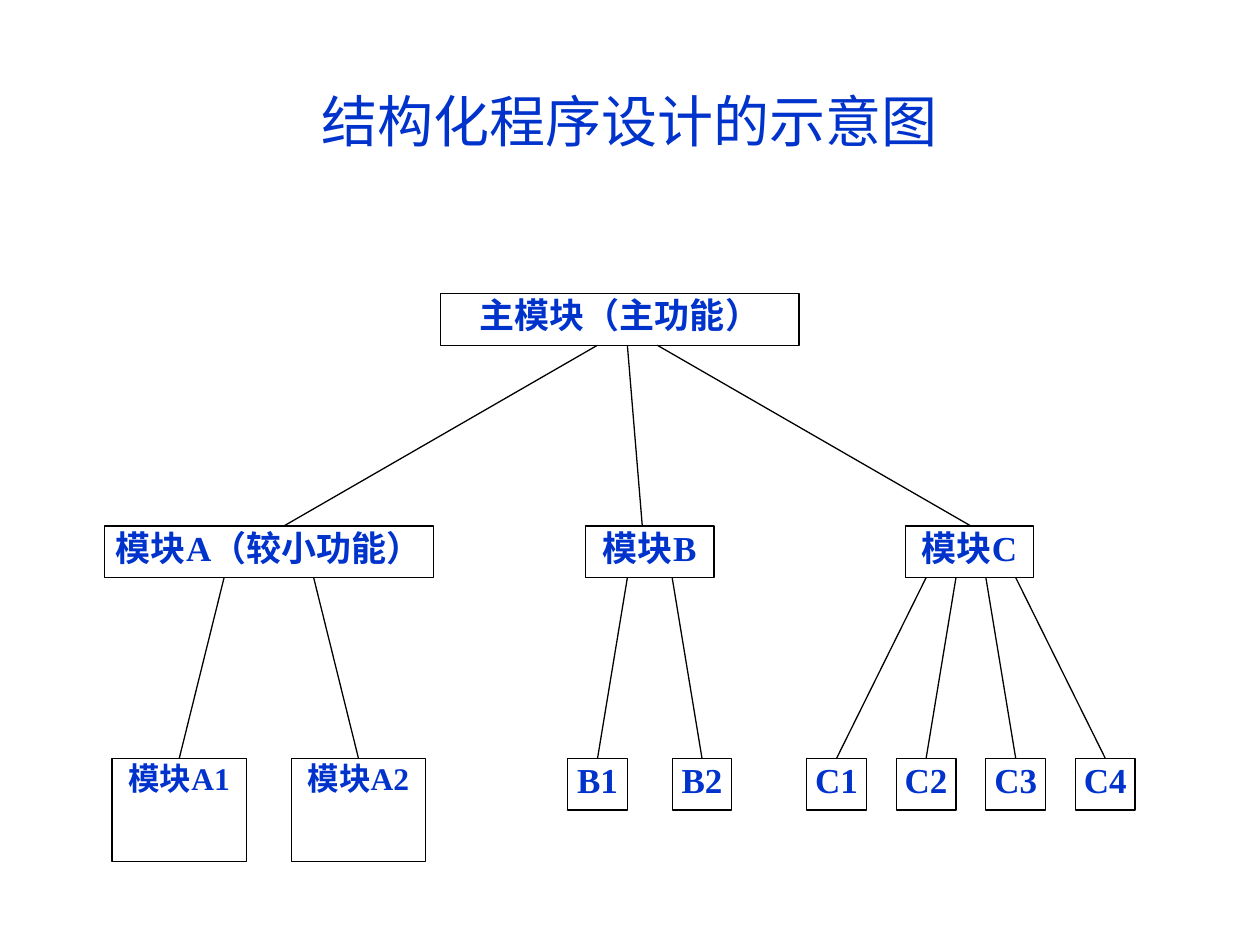
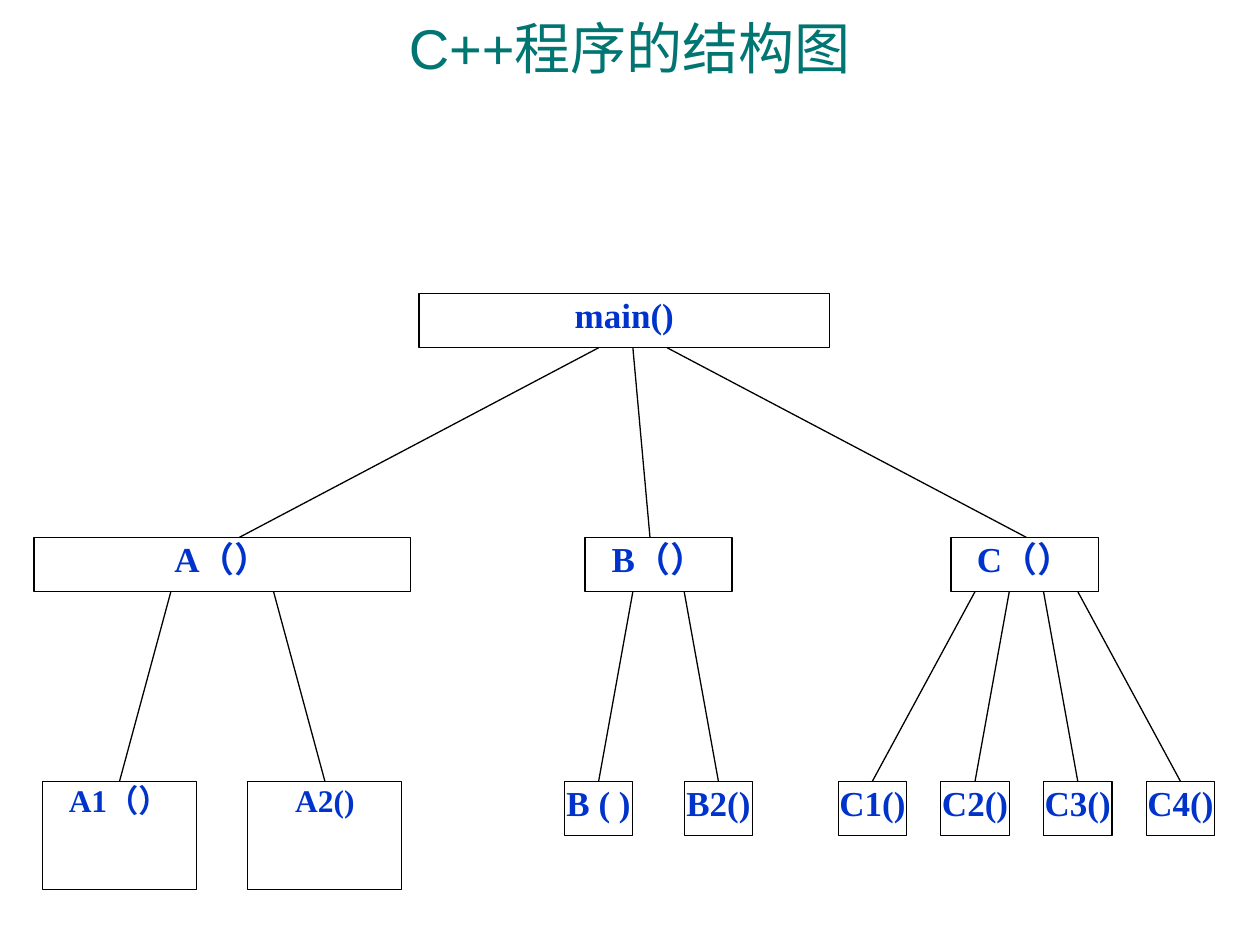
from pptx import Presentation
from pptx.dml.color import RGBColor
from pptx.enum import shapes, text
from pptx.oxml.ns import qn
from pptx.util import Inches, Pt
from lxml import etree

COLORS = {"blue": "0033CC", "teal": "007572", "paper": "FFFFFF", "ink": "000000"}
TITLE_FONT, MODULE_FONT = "Arial", "Times New Roman"
LINE_WIDTH = Pt(0.74)
COLUMNS, ROWS = 69, 11
ROOT_TOP, MIDDLE_TOP, LEAF_TOP = 0, 4.5, 9
ROOT = (22.5, 24)
MODULES = {"A": (0, 22), "B": (32.2, 8.6), "C": (53.6, 8.6)}
LEAVES = {"A": (0.5, 12.5), "B": (31, 38), "C": (47, 53, 59, 65)}
LEAF_SIZES = {"A": (9, 2, 18), "B": (4, 1, 20), "C": (4, 1, 20)}
ROOT_LINKS = ((33, 12), (35, 36), (37, 58))
LEAF_LINKS = {
    "A": ((8, 5), (14, 17)),
    "B": ((35, 33), (38, 40)),
    "C": ((55, 49), (57, 55), (59, 61), (61, 67)),
}


def color(name):
    return RGBColor.from_string(COLORS[name])


def write(frame, words, size, font, color_name, bold=False):
    frame.text = words
    paragraph = frame.paragraphs[0]
    paragraph.alignment = text.PP_ALIGN.CENTER
    for run in paragraph.runs:
        run.font.size, run.font.name, run.font.bold = Pt(size), font, bold
        run.font.color.rgb = color(color_name)


def add_title(slide, words, top, height, color_name):
    shape = slide.shapes.add_textbox(Inches(0.33), Inches(top), Inches(9.34), Inches(height))
    frame = shape.text_frame
    frame.word_wrap = True
    frame.vertical_anchor = text.MSO_ANCHOR.MIDDLE
    write(frame, words, 32, TITLE_FONT, color_name)


def add_module_tree(slide, box, root, modules, leaves):
    left, top, width, height = box
    group = slide.shapes.add_group_shape()

    def across(column):
        return Inches(left + column * width / COLUMNS)

    def down(row):
        return Inches(top + row * height / ROWS)

    def add_module(words, column, row, columns, rows=1, size=20):
        x, y = across(column), down(row)
        shape = group.shapes.add_shape(
            shapes.MSO_SHAPE.RECTANGLE, x, y, across(column + columns) - x, down(row + rows) - y)
        shape.shadow.inherit = False
        shape.fill.solid()
        shape.fill.fore_color.rgb = color("paper")
        shape.line.color.rgb = color("ink")
        shape.line.width = LINE_WIDTH
        frame = shape.text_frame
        frame.margin_left = frame.margin_right = frame.margin_top = frame.margin_bottom = 0
        frame.word_wrap = True
        frame.vertical_anchor = text.MSO_ANCHOR.TOP
        write(frame, words, size, MODULE_FONT, "blue", bold=True)

    def add_links(links, parent_row, child_row):
        for start, end in links:
            connector = group.shapes.add_connector(
                shapes.MSO_CONNECTOR.STRAIGHT,
                across(start), down(parent_row + 1), across(end), down(child_row))
            connector.line.color.rgb = color("ink")
            connector.line.width = LINE_WIDTH
            etree.SubElement(connector._element.spPr, qn("a:effectLst"))

    add_module(root, ROOT[0], ROOT_TOP, ROOT[1])
    add_links(ROOT_LINKS, ROOT_TOP, MIDDLE_TOP)
    for branch, (column, columns) in MODULES.items():
        add_module(modules[branch], column, MIDDLE_TOP, columns)
        leaf_columns, leaf_rows, size = LEAF_SIZES[branch]
        for words, leaf_column in zip(leaves[branch], LEAVES[branch]):
            add_module(words, leaf_column, LEAF_TOP, leaf_columns, leaf_rows, size)
        add_links(LEAF_LINKS[branch], MIDDLE_TOP, LEAF_TOP)


def add_tree_slide(presentation, title, box, root, modules, leaves):
    slide = presentation.slides.add_slide(presentation.slide_layouts[6])
    add_title(slide, *title)
    add_module_tree(slide, box, root, modules, leaves)


presentation = Presentation()
presentation.slide_width, presentation.slide_height = Inches(10), Inches(7.5)
add_tree_slide(
    presentation,
    ("结构化程序设计的示意图", 0.33, 1.25, "blue"),
    (0.83, 2.33, 8.18, 4.51),
    "主模块（主功能）",
    {"A": "模块A（较小功能）", "B": "模块B", "C": "模块C"},
    {"A": ("模块A1", "模块A2"), "B": ("B1", "B2"), "C": ("C1", "C2", "C3", "C4")},
)
add_tree_slide(
    presentation,
    ("C++程序的结构图", 0, 0.75, "teal"),
    (0.27, 2.33, 9.37, 4.73),
    "main()",
    {"A": "A（）", "B": "B（）", "C": "C（）"},
    {"A": ("A1（）", "A2()"), "B": ("B ( )", "B2()"), "C": ("C1()", "C2()", "C3()", "C4()")},
)
presentation.save("out.pptx")
